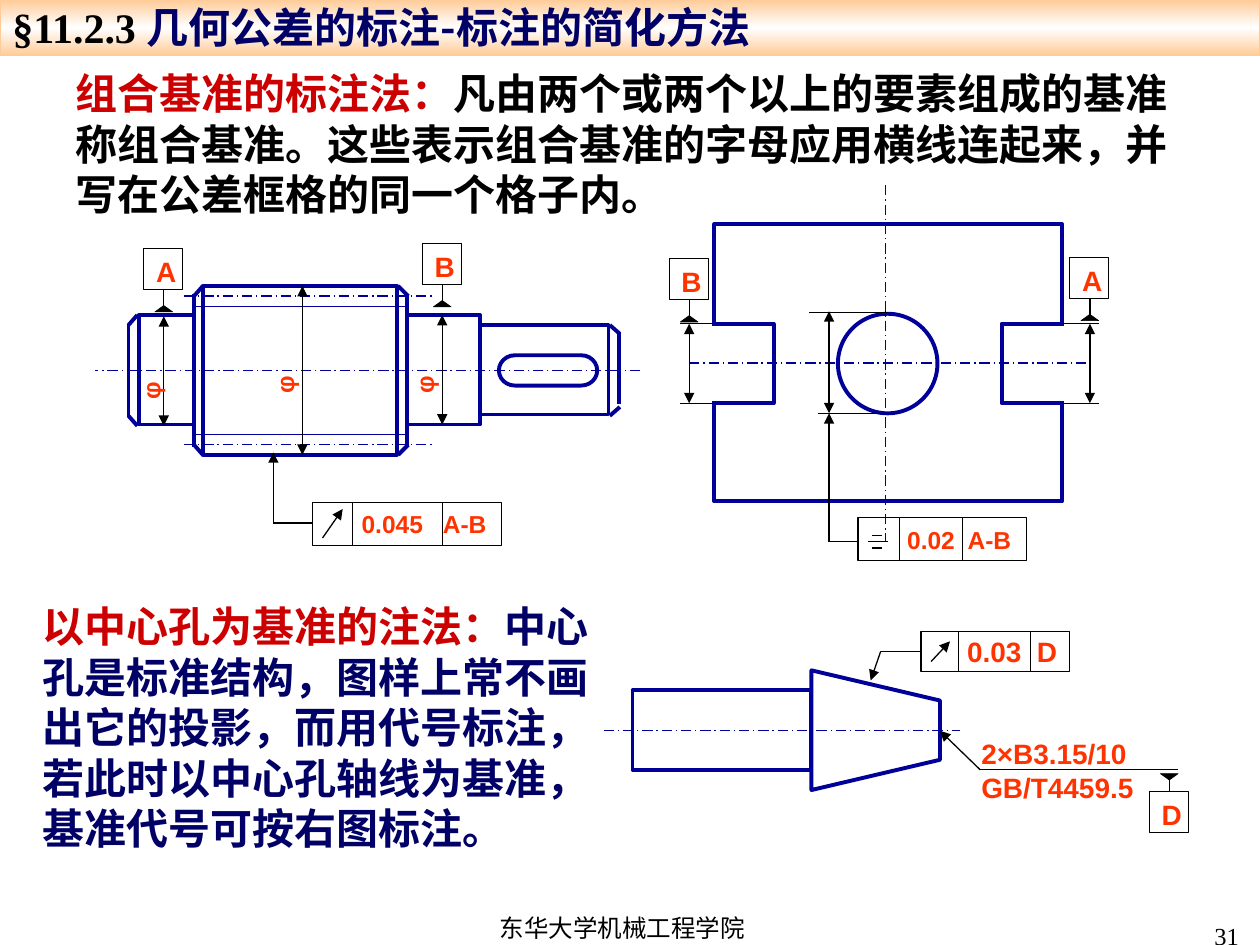
"""Builds a slide on simplified marking of geometric tolerances."""
from copy import deepcopy
from typing import NamedTuple

from pptx import Presentation
from pptx.dml.color import RGBColor
from pptx.enum.dml import MSO_LINE
from pptx.enum.shapes import MSO_CONNECTOR, MSO_SHAPE
from pptx.enum.text import MSO_ANCHOR, PP_ALIGN
from pptx.oxml.ns import qn
from pptx.util import Emu, Inches, Pt

RECT, OVAL = MSO_SHAPE.RECTANGLE, MSO_SHAPE.OVAL
SLOT, WEDGE = MSO_SHAPE.FLOWCHART_TERMINATOR, MSO_SHAPE.ISOSCELES_TRIANGLE
LEFT, MID, RIGHT = PP_ALIGN.LEFT, PP_ALIGN.CENTER, PP_ALIGN.RIGHT
TOP, CENTER = MSO_ANCHOR.TOP, MSO_ANCHOR.MIDDLE
BLACK, WHITE = RGBColor(0, 0, 0), RGBColor(255, 255, 255)
BLUE, NAVY = RGBColor(0, 0, 0x99), RGBColor(0, 0, 0x66)
RED, FLAME = RGBColor(0xCC, 0, 0), RGBColor(0xFF, 0x33, 0)
PEACH = RGBColor(0xFF, 0xCC, 0x99)
SANS, SERIF, HAN = "Arial", "Times New Roman", "Noto Sans CJK SC"
COLS, ROWS = 100, 75

deck = Presentation()
deck.slide_width, deck.slide_height = Inches(10), Inches(7.5)
COL, ROW = deck.slide_width / COLS, deck.slide_height / ROWS
slide = deck.slides.add_slide(deck.slide_layouts[6])
shapes = slide.shapes


class Pen(NamedTuple):
    color: RGBColor
    width: float
    dash: bool = False


class Box(NamedTuple):
    x: float
    y: float
    w: float
    h: float


class Run(NamedTuple):
    text: str
    color: RGBColor
    font: str


class Datum(NamedTuple):
    name: str
    x: float
    y: float
    below: bool = False


class Frame(NamedTuple):
    box: Box
    text: str
    size: float
    pad: float
    tab: float
    bars: tuple


EDGE, THIN, FINE = Pen(BLUE, 2.25), Pen(BLACK, 0.75), Pen(BLACK, 0.37)
ROOT, AXIS, MASK = Pen(BLUE, 0.75), Pen(BLUE, 0.75, True), Pen(WHITE, 6)


def place(box: Box) -> list:
    return [Emu(round(v * u)) for v, u in zip(box, (COL, ROW, COL, ROW))]


def ink(line, pen: Pen) -> None:
    line.color.rgb, line.width = pen.color, Pt(pen.width)
    if pen.dash:
        line.dash_style = MSO_LINE.LONG_DASH_DOT


def form(box: Box, pen: Pen = EDGE, kind=RECT, fill: RGBColor | None = None):
    shape = shapes.add_shape(kind, *place(box))
    shape.shadow.inherit = False
    shape.fill.background()
    if fill is not None:
        shape.fill.solid()
        shape.fill.fore_color.rgb = fill
    ink(shape.line, pen)
    return shape


def rule(path: tuple, pen: Pen = THIN, ends: str = "") -> None:
    link = shapes.add_connector(MSO_CONNECTOR.STRAIGHT, *place(Box(*path)))
    ink(link.line, pen)
    props = link.element.spPr
    line = props.find(qn("a:ln"))
    for end in ("head", "tail"):
        if end in ends:
            tip = line.makeelement(qn(f"a:{end}End"), {"type": "triangle"})
            line.append(tip)
    props.append(props.makeelement(qn("a:effectLst"), {}))


def put(target, *paras: list, size: float = 14, bold: bool = True, align=LEFT,
        anchor=TOP, pad: float = 1, right: float = 1, tab: float = 0,
        pitch: float = 0, turn: float = 0) -> None:
    shape = shapes.add_textbox(*place(target)) if isinstance(target, Box) else target
    shape.rotation = turn
    body = shape.text_frame
    body.word_wrap, body.vertical_anchor = True, anchor
    body.margin_left, body.margin_right = Emu(round(pad * COL)), Emu(round(right * COL))
    body.margin_top = body.margin_bottom = Emu(round(ROW / 2))
    for i, runs in enumerate(paras):
        para = body.add_paragraph() if i else body.paragraphs[0]
        para.alignment = align
        if pitch:
            para.line_spacing = Pt(pitch)
        if tab:
            props = para._p.get_or_add_pPr()
            stops = props.makeelement(qn("a:tabLst"), {})
            stops.append(stops.makeelement(
                qn("a:tab"), {"pos": str(round(tab * COL)), "algn": "l"}))
            props.append(stops)
        for item in runs:
            run = para.add_run()
            run.text, font = item.text, run.font
            font.size, font.bold, font.name = Pt(size), bold, item.font
            font.color.rgb = item.color
            face = font._element.makeelement(qn("a:ea"), {"typeface": HAN})
            font._element.find(qn("a:latin")).addnext(face)


def mark(datum: Datum) -> None:
    x, y = datum.x, datum.y
    peak = y - 1.4 if datum.below else y + 4.55
    rule((x, peak, x, y) if datum.below else (x, peak + 0.3, x, y + 3.3))
    wedge = form(Box(x - 0.7, peak, 1.4, 0.5), FINE, WEDGE, BLACK)
    wedge.rotation = 180 if datum.below else 0
    put(form(Box(x - 1.6, y, 3.1, 3.3), FINE), [Run(datum.name, FLAME, SANS)],
        size=16, right=0)


def grid(frame: Frame) -> None:
    box = frame.box
    put(form(box, THIN), [Run(frame.text, FLAME, SANS)], size=frame.size,
        anchor=CENTER, pad=frame.pad, right=0, tab=frame.tab)
    for x in frame.bars:
        rule((x, box.y, x, box.y + box.h))


band = form(Box(0, 0, COLS, 4.4), Pen(PEACH, 0.75))
band.fill.gradient()
band.fill.gradient_angle = 90
first, last = band.fill.gradient_stops
first.color.rgb, first.position = PEACH, 0
last.color.rgb, last.position = WHITE, 0.5
stops = band.element.spPr.find(".//" + qn("a:gsLst"))
stops.append(deepcopy(stops[0]))
stops[-1].set("pos", "100000")

BODIES = [(11, 25, 4.4, 8.7), (16.1, 22.7, 15.4, 13.4), (32.3, 25, 5.8, 8.7),
          (38.1, 25.8, 10.2, 7.1), (56.7, 17.8, 27.6, 22), (56.7, 25.7, 4.7, 6.3),
          (79.5, 25.7, 4.7, 6.3), (50.2, 54.8, 14.2, 6.3)]
for body in BODIES:
    form(Box(*body))
form(Box(39.6, 28.2, 7.8, 2.4), kind=SLOT)
form(Box(66.5, 24.9, 7.9, 7.9), kind=OVAL)
form(Box(15.4, 24.3, 16.9, 10.2), ROOT)
for x in (56.8, 84.1):
    rule((x, 25.85, x, 31.8), MASK)

taper = [(64.4, 53.2), (74.6, 55.6), (74.6, 60.3), (64.4, 62.7)]
points = [(round(x * COL), round(y * ROW)) for x, y in taper]
maker = shapes.build_freeform(*points[0])
maker.add_line_segments(points[1:], close=True)
cone = maker.convert_to_shape()
cone.shadow.inherit = False
cone.fill.background()
ink(cone.line, EDGE)

BEVELS = [(31.6, 22.7, 32.4, 23.5), (16.1, 22.7, 15.4, 23.5),
          (48.4, 25.8, 49.2, 26.5), (10.9, 25, 10.2, 25.8)]
for x, y, far, low in BEVELS:
    rule((x, y, far, low), EDGE)
    rule((x, 58.8 - y, far, 58.8 - low), EDGE)
for x, y, low in [(49.1, 26.4, 32.1), (10.2, 25.7, 33.1),
                  (15.4, 23.3, 35.5), (32.3, 23.3, 35.5)]:
    rule((x, y, x, low), EDGE)

for path in [(50.8, 29.4, 7.5, 29.4), (14.6, 23.5, 34.3, 23.5),
             (14.6, 35.3, 34.3, 35.3), (70.3, 14.7, 70.3, 43),
             (54.7, 28.8, 86.2, 28.8), (47.9, 58, 76.2, 58)]:
    rule(path, AXIS)
for path in [(21.7, 41.5, 24.8, 41.5), (57.1, 25.7, 54, 25.7), (57.1, 32, 54, 32),
             (87.2, 25.7, 84.1, 25.7), (87.2, 32, 84.1, 32), (70.5, 24.8, 64.2, 24.8),
             (71.2, 32.8, 64.9, 32.8), (65.8, 43, 68.1, 43), (68.9, 43, 70.5, 43),
             (69.2, 42.5, 70, 42.5), (69.2, 43.5, 70, 43.5),
             (77.8, 61.1, 93.5, 61.1), (69.9, 51.7, 73.1, 51.7)]:
    rule(path)
for path in [(21.7, 35.9, 21.7, 41.5), (65.8, 32.8, 65.8, 43),
             (74.6, 58, 77.8, 61.1), (69.1, 54, 69.9, 51.7)]:
    rule(path, ends="head")
for x, y, low in [(13, 25.1, 33.8), (35.1, 25, 33.7), (24, 22.7, 36.1),
                  (54.7, 25.7, 32), (86.5, 25.7, 32), (65.8, 24.7, 32.8)]:
    rule((x, y, x, low), ends="head tail")
for path in [(25.6, 42.7, 27.2, 40.4), (73.9, 52.5, 75.4, 50.9)]:
    rule(path, ends="tail")

for datum in [Datum("A", 13, 19.7), Datum("B", 35.1, 19.3), Datum("B", 54.7, 20.5),
              Datum("A", 86.5, 20.4), Datum("D", 92.8, 62.8, True)]:
    mark(datum)
for frame in [Frame(Box(24.8, 39.9, 15, 3.4), "0.045\tA-B", 14, 3.9, 6.45, (28, 35.1)),
              Frame(Box(68.1, 41.1, 13.4, 3.4), "0.02\tA-B", 14, 3.9, 4.8, (71.4, 76.4)),
              Frame(Box(73.1, 50.1, 11.8, 3.2), "0.03\tD", 16, 3.65, 5.55, (76.1, 81.8))]:
    grid(frame)
for x, w, align in [(9.8, 4.4, LEFT), (20.2, 4.8, MID), (31.3, 4.8, MID)]:
    put(Box(x, 28.8, w, 3.4), [Run("φ", FLAME, SANS)], align=align, turn=270)

put(Box(0, 0, COLS, 4.4), [Run("§11.2.3 ", BLACK, SERIF),
    Run("几何公差的标注-标注的简化方法", NAVY, HAN)], size=24, pitch=26)
put(Box(5, 4.9, 89.3, 13), [Run("组合基准的标注法：", RED, HAN),
    Run("凡由两个或两个以上的要素组成的基准称组合基准。这些表示组合基准的字母应用横线连起来，"
        "并写在公差框格的同一个格子内。", BLACK, HAN)], size=24, pitch=28.8)
put(Box(2.4, 47.2, 46.2, 21), [Run("以中心孔为基准的注法：", RED, HAN),
    Run("中心孔是标准结构，图样上常不画出它的投影，而用代号标注，若此时以中心孔轴线为基准，"
        "基准代号可按右图标注。", NAVY, HAN)], size=24, pitch=28.8)
put(Box(76.9, 58, 15, 6.4), [Run("2×B3.15/10", FLAME, SANS)],
    [Run("GB/T4459.5", FLAME, SANS)], size=16)
put(Box(27, 72, 44.8, 3), [Run("东华大学机械工程学院", BLACK, SERIF)],
    bold=False, align=MID)
put(Box(82.9, 72.6, 16.4, 2.4), [Run("31", BLACK, SERIF)], bold=False, align=RIGHT)
deck.save("out.pptx")
